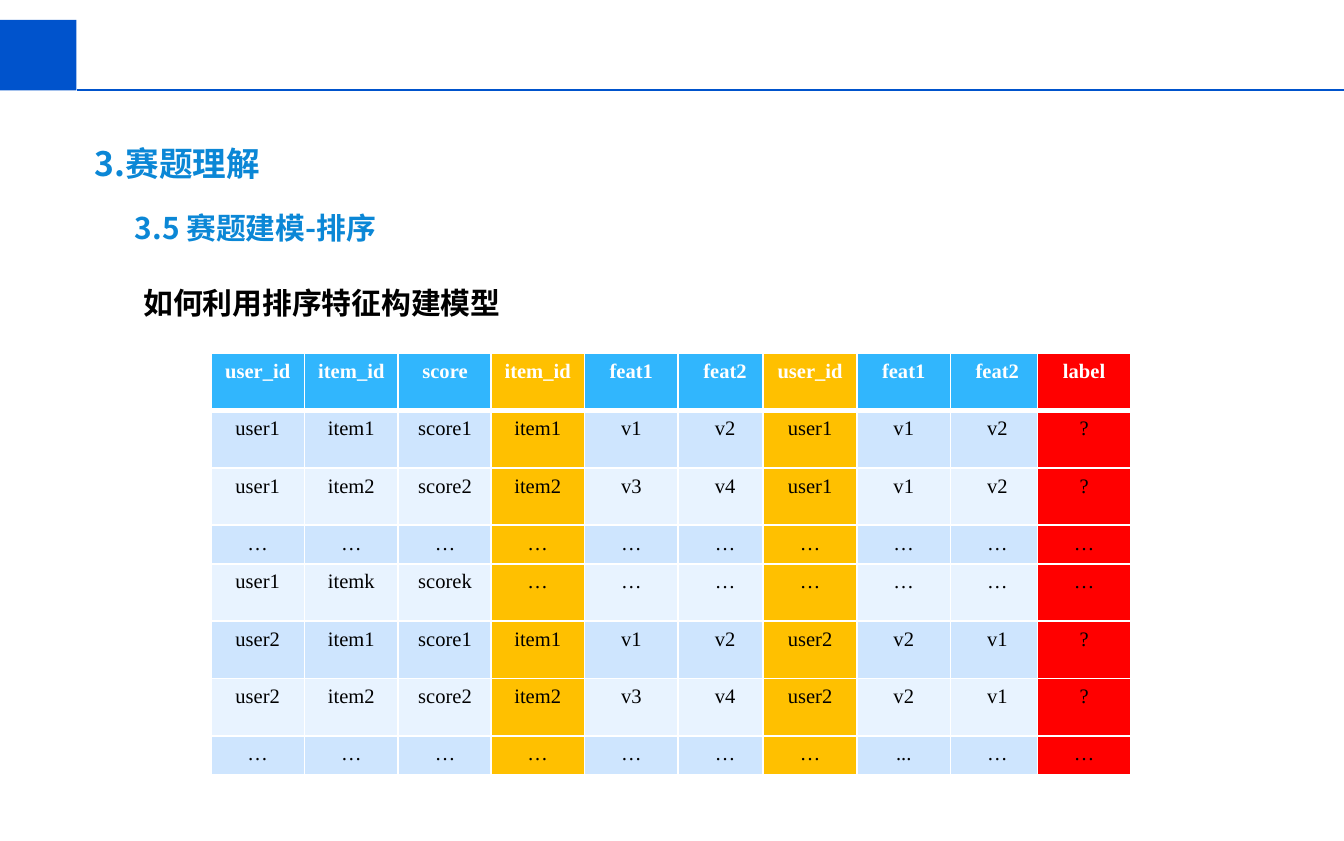
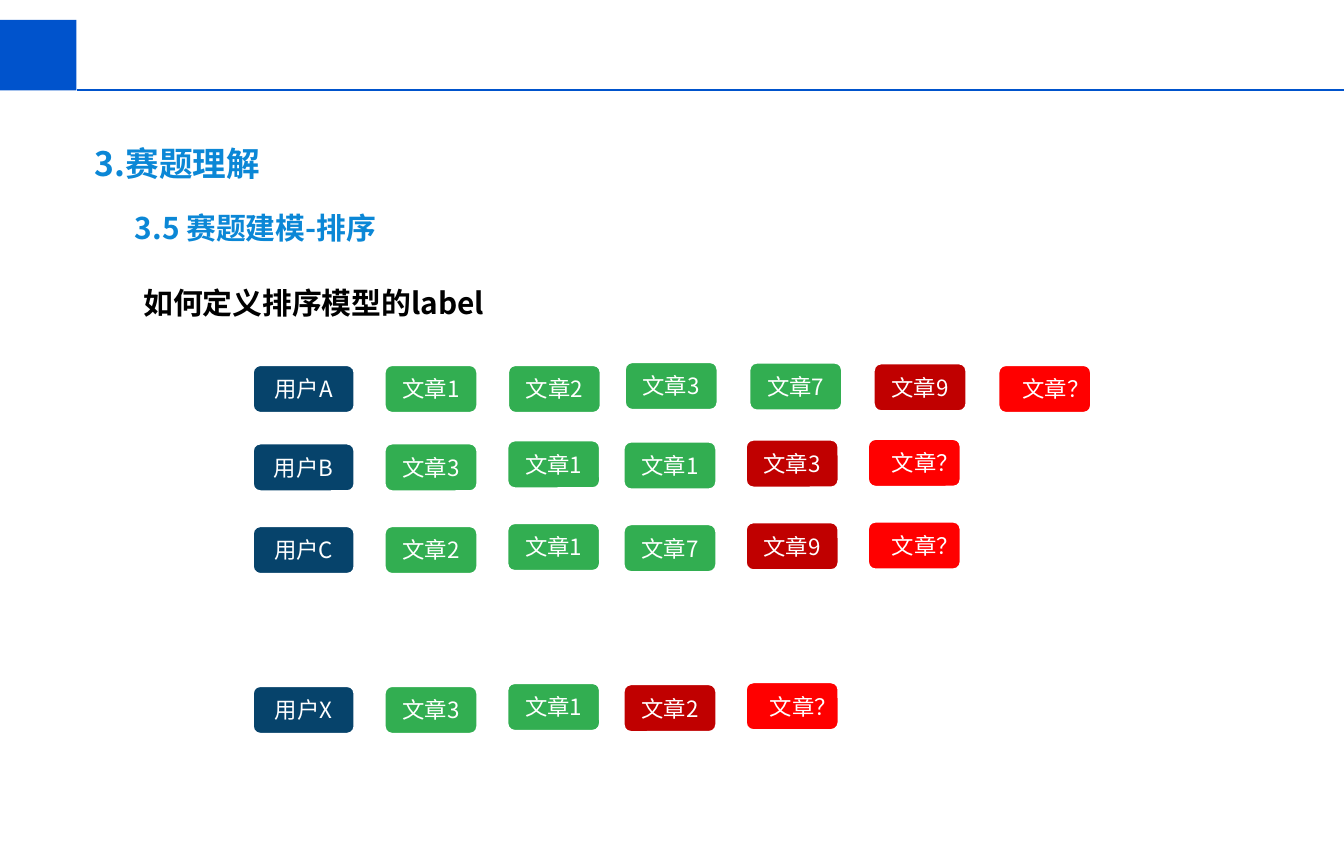
from dataclasses import dataclass
from typing import NamedTuple, Optional

from lxml.etree import SubElement
from pptx import Presentation
from pptx.dml.color import RGBColor
from pptx.enum.shapes import MSO_CONNECTOR as Connector, MSO_SHAPE as Shape
from pptx.enum.text import MSO_ANCHOR as Anchor, MSO_AUTO_SIZE as AutoSize, PP_ALIGN as Align
from pptx.oxml.ns import qn
from pptx.util import Pt


@dataclass(frozen=True)
class Theme:
    band: str = "0053CC"
    heading: str = "0B87D6"
    black: str = "000000"
    white: str = "FFFFFF"
    header: str = "31B6FD"
    stripes: tuple = ("CEE5FE", "E8F3FF")
    join_key: str = "FFC000"
    target: str = "FF0000"
    user: str = "06436B"
    clicked: str = "32AE51"
    last_click: str = "C00000"
    sans: str = "Noto Sans CJK SC"
    serif: str = "Times New Roman"
    title_size: int = 18
    heading_size: int = 16
    chip_size: int = 12
    cell_size: int = 11


THEME = Theme()


class Box(NamedTuple):
    left: float
    top: float
    width: float
    height: float

    def points(self) -> tuple:
        return tuple(Pt(value) for value in self)


class FeatureBlock(NamedTuple):
    left: float
    key_color: Optional[str]  # fill of the first column, if it stands out
    rows: tuple


class History(NamedTuple):
    user: str
    top: float
    articles: str
    lane: tuple


class Stop(NamedTuple):
    left: float
    rise: float


TITLE_BOX = Box(43.5, 73, 259.2, 28.8)
SECTION_BOX = Box(65.2, 108.7, 259.2, 26.6)
QUESTION_BOX = Box(69.8, 149, 208.8, 26.6)

# Feature tables
TABLE_TOP, COLUMN_WIDTH = 189.4, 50.2
ROW_HEIGHTS = (30.7, 30.7, 30.7, 20.7, 30.7, 30.7, 30.7, 20.7)
FEATURE_BLOCKS = (
    FeatureBlock(113, None, (
        "user_id item_id score", "user1 item1 score1", "user1 item2 score2", "… … …",
        "user1 itemk scorek", "user2 item1 score1", "user2 item2 score2", "… … …")),
    FeatureBlock(263, THEME.join_key, (
        "item_id feat1 feat2", "item1 v1 v2", "item2 v3 v4", "… … …",
        "… … …", "item1 v1 v2", "item2 v3 v4", "… … …")),
    FeatureBlock(408.9, THEME.join_key, (
        "user_id feat1 feat2", "user1 v1 v2", "user1 v1 v2", "… … …",
        "… … …", "user2 v2 v1", "user2 v2 v1", "… ... …")),
    FeatureBlock(555.7, THEME.target, ("label", "?", "?", "…", "…", "?", "?", "…")),
)

# Reading histories
USER_LEFT, USER_WIDTH, CHIP_WIDTH, CHIP_HEIGHT = 135, 55.4, 50.6, 26.6
LONG_LANE = (Stop(205.6, 0), Stop(271.7, 0), Stop(334.3, 1.6),
             Stop(401, 1.3), Stop(467.6, 0.9), Stop(534.4, 0))
SHORT_LANE = (Stop(205.6, 0), Stop(271.3, 1.6), Stop(333.6, 1),
              Stop(399.1, 2), Stop(464.5, 2.4))
HISTORIES = (
    History("A", 195.2, "12379？", LONG_LANE),
    History("B", 237.2, "3113？", SHORT_LANE),
    History("C", 281.5, "2179？", SHORT_LANE),
    History("X", 367.2, "312？", SHORT_LANE),
)


def rgb(color: str) -> RGBColor:
    return RGBColor.from_string(color)


def write(frame, text: str, font: str, size: int, color: str,
          bold: bool = False, align: Align = Align.LEFT) -> None:
    frame.text = text
    paragraph = frame.paragraphs[0]
    paragraph.alignment = align
    paragraph.font.name = font
    paragraph.font.size = Pt(size)
    paragraph.font.bold = bold
    paragraph.font.color.rgb = rgb(color)
    defaults = paragraph._p.find(qn("a:pPr")).find(qn("a:defRPr"))
    SubElement(defaults, qn("a:ea")).set("typeface", font)


def write_heading(shape, box: Box, text: str, size: int, color: str) -> None:
    shape.left, shape.top, shape.width, shape.height = box.points()
    frame = shape.text_frame
    frame.word_wrap = True
    frame.auto_size = AutoSize.SHAPE_TO_FIT_TEXT
    frame.vertical_anchor = Anchor.TOP
    write(frame, text, THEME.sans, size, color, bold=True)


def add_band(layout, slide) -> None:
    """Draw the band once and hand it to the layout that all slides use."""
    corner = slide.shapes.add_shape(Shape.RECTANGLE, *Box(0, 10.7, 41, 37.8).points())
    corner.shadow.inherit = False
    corner.fill.solid()
    corner.fill.fore_color.rgb = rgb(THEME.band)
    corner.line.fill.background()
    rule = slide.shapes.add_connector(Connector.STRAIGHT, Pt(41), Pt(48.2), Pt(720), Pt(48.2))
    rule.line.color.rgb = rgb(THEME.band)
    rule.line.width = Pt(1)
    SubElement(rule.element.spPr, qn("a:effectLst"))
    for part in (rule, corner):
        layout.shapes.element.insert(2, part.element)


def add_content_slide(deck, layout, question: str):
    slide = deck.slides.add_slide(layout)
    write_heading(slide.shapes.title, TITLE_BOX, "3.赛题理解", THEME.title_size, THEME.heading)
    for box, text, color in ((SECTION_BOX, "3.5 赛题建模-排序", THEME.heading),
                             (QUESTION_BOX, question, THEME.black)):
        textbox = slide.shapes.add_textbox(*box.points())
        write_heading(textbox, box, text, THEME.heading_size, color)
    return slide


def set_borders(cell, row: int) -> None:
    properties = cell._tc.get_or_add_tcPr()
    widths = {"L": 1, "R": 1, "T": 3 if row == 1 else 1, "B": 3 if row == 0 else 1}
    for side, width in widths.items():
        line = SubElement(properties, qn(f"a:ln{side}"), w=str(Pt(width)))
        fill = SubElement(line, qn("a:solidFill"))
        SubElement(fill, qn("a:srgbClr"), val=THEME.white)


def add_feature_table(slide, block: FeatureBlock) -> None:
    grid = [row.split() for row in block.rows]
    columns = len(grid[0])
    box = Box(block.left, TABLE_TOP, columns * COLUMN_WIDTH, sum(ROW_HEIGHTS))
    table = slide.shapes.add_table(len(grid), columns, *box.points()).table
    for column in table.columns:
        column.width = Pt(COLUMN_WIDTH)
    for r, (words, height) in enumerate(zip(grid, ROW_HEIGHTS)):
        table.rows[r].height = Pt(height)
        is_header = r == 0
        row_color = THEME.header if is_header else THEME.stripes[(r - 1) % 2]
        for c, word in enumerate(words):
            cell = table.cell(r, c)
            set_borders(cell, r)
            cell.fill.solid()
            cell.fill.fore_color.rgb = rgb(block.key_color if c == 0 and block.key_color else row_color)
            write(cell.text_frame, word, THEME.serif, THEME.cell_size,
                  THEME.white if is_header else THEME.black, is_header, Align.CENTER)


def add_chip(slide, box: Box, text: str, color: str) -> None:
    chip = slide.shapes.add_shape(Shape.ROUNDED_RECTANGLE, *box.points())
    chip.shadow.inherit = False
    chip.fill.solid()
    chip.fill.fore_color.rgb = rgb(color)
    chip.line.color.rgb = rgb(THEME.white)
    chip.line.width = Pt(2)
    frame = chip.text_frame
    frame.word_wrap = False
    frame.vertical_anchor = Anchor.MIDDLE
    # The wide question mark sits at the right edge of its chip
    frame.margin_left = Pt(12 if color == THEME.target else 0)
    frame.margin_right = Pt(0)
    write(frame, text, THEME.sans, THEME.chip_size, THEME.white, align=Align.CENTER)


def add_history(slide, history: History) -> None:
    add_chip(slide, Box(USER_LEFT, history.top, USER_WIDTH, CHIP_HEIGHT),
             f"用户{history.user}", THEME.user)
    # The final article is to be predicted, the one before it is the last click
    colors = [THEME.clicked] * (len(history.articles) - 2) + [THEME.last_click, THEME.target]
    for article, stop, color in zip(history.articles, history.lane, colors):
        add_chip(slide, Box(stop.left, history.top - stop.rise, CHIP_WIDTH, CHIP_HEIGHT),
                 f"文章{article}", color)


def main() -> None:
    deck = Presentation()
    deck.slide_width, deck.slide_height = Pt(720), Pt(450.7)
    layout = deck.slide_layouts[5]

    # Slide 1: joined feature tables
    features = add_content_slide(deck, layout, "如何利用排序特征构建模型")
    add_band(layout, features)
    for block in FEATURE_BLOCKS:
        add_feature_table(features, block)

    # Slide 2: label taken from each reading history
    labels = add_content_slide(deck, layout, "如何定义排序模型的label")
    for history in HISTORIES:
        add_history(labels, history)

    deck.save("out.pptx")


if __name__ == "__main__":
    main()
